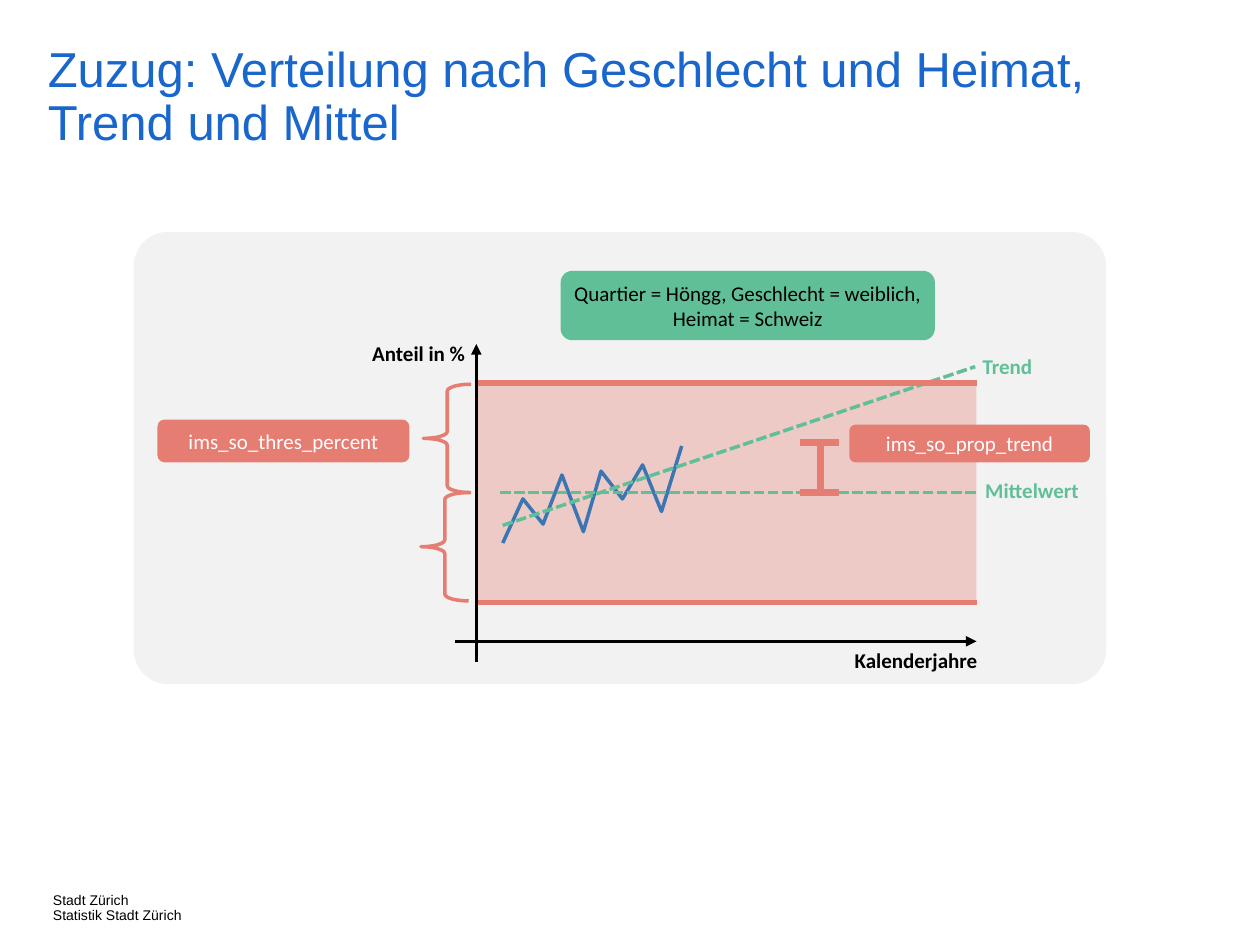
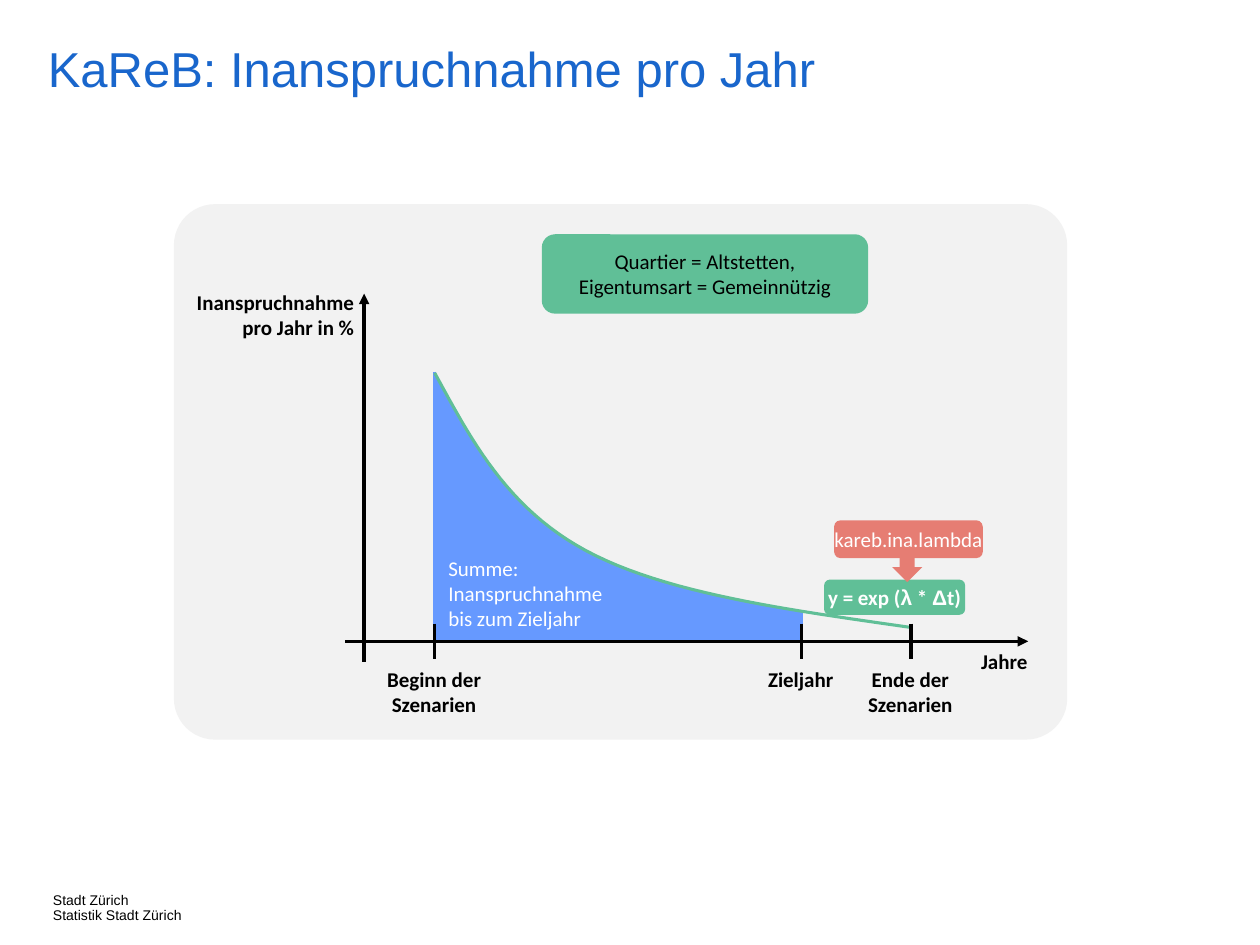
from lxml import etree
from pptx import Presentation
from pptx.dml.color import RGBColor
from pptx.enum.dml import MSO_LINE
from pptx.enum.shapes import MSO_CONNECTOR, MSO_SHAPE
from pptx.enum.text import MSO_ANCHOR, PP_ALIGN
from pptx.oxml.ns import qn
from pptx.util import Inches, Pt

ROUNDED, RECT = MSO_SHAPE.ROUNDED_RECTANGLE, MSO_SHAPE.RECTANGLE
BRACE, DOWN_ARROW = MSO_SHAPE.RIGHT_BRACE, MSO_SHAPE.DOWN_ARROW
LEFT, CENTER, RIGHT = PP_ALIGN.LEFT, PP_ALIGN.CENTER, PP_ALIGN.RIGHT
TOP, MIDDLE = MSO_ANCHOR.TOP, MSO_ANCHOR.MIDDLE
DASHED = MSO_LINE.SQUARE_DOT

BLACK, WHITE, GREY = "000000", "FFFFFF", "F2F2F2"
TITLE_BLUE, SERIES_BLUE, AREA_BLUE = "1966CC", "3B76B3", "6699FF"
GREEN, RED = "60BF97", "E67D73"
color = RGBColor.from_string


def add_block(slide, at, text="", ink=BLACK, kind=None, fill=None, align=CENTER,
              bold=False, font="Calibri", size=12, inset=0.1):
    """Add a text box, or a preset shape when kind is given."""
    box = [Inches(length) for length in at]
    if kind is None:
        block = slide.shapes.add_textbox(*box)
    else:
        block = slide.shapes.add_shape(kind, *box)
        block.shadow.inherit = False
        block.line.fill.background()
        if fill:
            block.fill.solid()
            block.fill.fore_color.rgb = color(fill)
        else:
            block.fill.background()
    frame = block.text_frame
    frame.word_wrap = True
    frame.vertical_anchor = MIDDLE if kind else TOP
    frame.margin_left = frame.margin_right = Inches(inset)
    frame.margin_top = frame.margin_bottom = Inches(inset / 2)
    frame.text = text
    for paragraph in frame.paragraphs:
        paragraph.alignment = align
        for run in paragraph.runs:
            run.font.name, run.font.size, run.font.bold = font, Pt(size), bold
            run.font.color.rgb = color(ink)
    return block


def add_line(slide, start, end, ink=BLACK, width=2, dash=None, arrow=False):
    ends = [Inches(length) for length in (*start, *end)]
    line = slide.shapes.add_connector(MSO_CONNECTOR.STRAIGHT, *ends)
    line.line.color.rgb = color(ink)
    line.line.width = Pt(width)
    if dash:
        line.line.dash_style = dash
    properties = line._element.spPr
    if arrow:
        etree.SubElement(properties.find(qn("a:ln")), qn("a:tailEnd"), type="triangle")
    etree.SubElement(properties, qn("a:effectLst"))


prs = Presentation()
prs.slide_width, prs.slide_height = Inches(10), Inches(7.5)

# Title, footer and grey panel of both slides
slides = []
for heading, panel_at in [
    ("Zuzug: Verteilung nach Geschlecht und Heimat, Trend und Mittel", (1.06, 1.84, 7.72, 3.59)),
    ("KaReB: Inanspruchnahme pro Jahr", (1.38, 1.62, 7.09, 4.25)),
]:
    slide = prs.slides.add_slide(prs.slide_layouts[5])
    title = slide.shapes.title
    title.left, title.top = Inches(0.38), Inches(0.36)
    title.width, title.height = Inches(8.4), Inches(0.64)
    frame = title.text_frame
    frame.margin_left = frame.margin_right = frame.margin_top = frame.margin_bottom = 0
    frame.vertical_anchor = TOP
    frame.text = heading
    paragraph = frame.paragraphs[0]
    paragraph.alignment, paragraph.line_spacing = LEFT, 0.9
    heading_font = paragraph.runs[0].font
    heading_font.name, heading_font.size = "Arial", Pt(28)
    heading_font.color.rgb = color(TITLE_BLUE)

    footer = add_block(slide, (0.42, 7.09, 1.31, 0.2), "Stadt Zürich\nStatistik Stadt Zürich",
                       align=LEFT, font="Arial", size=8, inset=0)
    for paragraph in footer.text_frame.paragraphs:
        paragraph.line_spacing = 0.9
    panel = add_block(slide, panel_at, kind=ROUNDED, fill=GREY)
    panel.adjustments[0] = 0.077
    slides.append(slide)
inflow, usage = slides

# Slide 1: share over the years with threshold band, mean and trend
band_left, band_right, band_top, band_bottom, mean = 3.78, 7.75, 3.04, 4.78, 3.91
band = add_block(inflow, (band_left, band_top, band_right - band_left, band_bottom - band_top),
                 kind=RECT, fill=RED)
band_color = band._element.spPr.find(qn("a:solidFill"))[0]
etree.SubElement(band_color, qn("a:alpha"), val="34000")

add_line(inflow, (3.61, 5.09), (band_right, 5.09), arrow=True)
add_block(inflow, (6.65, 5.09, 1.24, 0.3), "Kalenderjahre", bold=True)
add_block(inflow, (2.55, 2.65, 1.24, 0.3), "Anteil in %", align=RIGHT, bold=True)
add_block(inflow, (4.45, 2.15, 2.97, 0.55),
          "Quartier = Höngg, Geschlecht = weiblich, Heimat = Schweiz",
          kind=ROUNDED, fill=GREEN, inset=0.06)
add_block(inflow, (1.25, 3.33, 2, 0.34), "ims_so_thres_percent", WHITE, ROUNDED, RED, inset=0)

shares = [(3.99, 4.31), (4.15, 3.96), (4.31, 4.16), (4.46, 3.77), (4.63, 4.22),
          (4.77, 3.74), (4.94, 3.96), (5.1, 3.69), (5.25, 4.06), (5.41, 3.54)]
points = [(Inches(x), Inches(y)) for x, y in shares]
builder = inflow.shapes.build_freeform(*points[0])
builder.add_line_segments(points[1:], close=False)
series = builder.convert_to_shape()
series.shadow.inherit = False
series.fill.background()
series.line.color.rgb = color(SERIES_BLUE)
series.line.width = Pt(2)

add_line(inflow, (3.97, mean), (band_right, mean), GREEN, dash=DASHED)
add_block(inflow, (7.42, 3.74, 1.24, 0.3), "Mittelwert", GREEN, align=RIGHT, bold=True)
add_line(inflow, (3.99, 4.17), (7.74, 2.91), GREEN, dash=DASHED)
add_block(inflow, (7.65, 2.76, 0.64, 0.3), "Trend", GREEN, align=RIGHT, bold=True)

for left, top in [(3.36, 3.05), (3.34, mean)]:
    brace = add_block(inflow, (left, top, 0.38, 0.86), kind=BRACE)
    brace.adjustments[0] = 0.142
    brace.line.color.rgb = color(RED)
    brace.line.width = Pt(2)
    brace._element.spPr.find(qn("a:xfrm")).set("flipH", "1")

for threshold in (band_bottom, band_top):
    add_line(inflow, (band_left, threshold), (band_right, threshold), RED, 3)
add_line(inflow, (band_left, 5.25), (band_left, 2.73), arrow=True)

gauge_top = 3.51
add_line(inflow, (6.51, gauge_top), (6.51, mean), RED, 4)
for y in (gauge_top, mean):
    add_line(inflow, (6.35, y), (6.66, y), RED, 4)
add_block(inflow, (6.74, 3.37, 1.91, 0.3), "ims_so_prop_trend", WHITE, ROUNDED, RED, inset=0)

# Slide 2: exponential decline with the sum up to the target year
axis, begin, target, end = 5.09, 3.45, 6.36, 7.23
add_line(usage, (2.89, 5.25), (2.89, 2.33), arrow=True)
add_block(usage, (1.38, 2.25, 1.53, 0.5), "Inanspruchnahme\npro Jahr in %",
          align=RIGHT, bold=True)
add_block(usage, (4.3, 1.86, 2.59, 0.63),
          "Quartier = Altstetten,\nEigentumsart = Gemeinnützig", kind=ROUNDED, fill=GREEN)
add_block(usage, (6.62, 4.13, 1.18, 0.3), "kareb.ina.lambda", WHITE, ROUNDED, RED,
          inset=0).text_frame.word_wrap = False

for left, width, text in [(2.87, 1.15, "Beginn der\nSzenarien"), (5.67, 1.37, "Zieljahr"),
                          (6.54, 1.37, "Ende der\nSzenarien")]:
    add_block(usage, (left, 5.24, width, 0.5), text, bold=True)
add_block(usage, (7.55, 5.1, 0.84, 0.3), "Jahre", bold=True)

# The decline follows two cubic Bézier segments
steps = 24
decline = [(begin, 2.96)]
for controls in [((begin, 2.96), (3.74, 3.49), (4.02, 4.03), (4.65, 4.37)),
                 ((4.65, 4.37), (5.28, 4.71), (6.25, 4.84), (end, 4.98))]:
    for step in range(1, steps + 1):
        t = step / steps
        weights = ((1 - t) ** 3, 3 * t * (1 - t) ** 2, 3 * t ** 2 * (1 - t), t ** 3)
        decline.append(tuple(sum(w * c[i] for w, c in zip(weights, controls)) for i in (0, 1)))

for x, y in [(begin, 2.95), (target, 4.85)]:
    add_line(usage, (x, y), (x, axis), AREA_BLUE)
summed = [point for point in decline if point[0] < target]
summed += [(target, 4.85), (target, axis), (begin, axis)]
for outline, closed in [(summed, True), (decline, False)]:
    points = [(Inches(x), Inches(y)) for x, y in outline]
    builder = usage.shapes.build_freeform(*points[0])
    builder.add_line_segments(points[1:], close=closed)
    curve = builder.convert_to_shape()
    curve.shadow.inherit = False
    if closed:
        curve.fill.solid()
        curve.fill.fore_color.rgb = color(AREA_BLUE)
        curve.line.fill.background()
    else:
        curve.fill.background()
        curve.line.color.rgb = color(GREEN)
        curve.line.width = Pt(1.75)

add_line(usage, (2.74, axis), (8.16, axis), arrow=True)
for year in (begin, target, end):
    add_line(usage, (year, 4.95), (year, 5.23))
add_block(usage, (3.46, 4.36, 1.54, 0.71), "Summe:\nInanspruchnahme\nbis zum Zieljahr",
          WHITE, align=LEFT)

formula = add_block(usage, (6.54, 4.6, 1.12, 0.28), kind=ROUNDED, fill=GREEN, inset=0)
formula.text_frame.word_wrap = False
for part in ("y = exp (", "λ", " * ", "Δ", "t)"):
    run = formula.text_frame.paragraphs[0].add_run()
    run.text = part
    run.font.name = "Arial" if part in "λΔ" else "Calibri"
    run.font.size, run.font.bold = Pt(12), True
    run.font.color.rgb = color(WHITE)
add_block(usage, (7.08, 4.34, 0.24, 0.28), kind=DOWN_ARROW, fill=RED)

prs.save("out.pptx")
